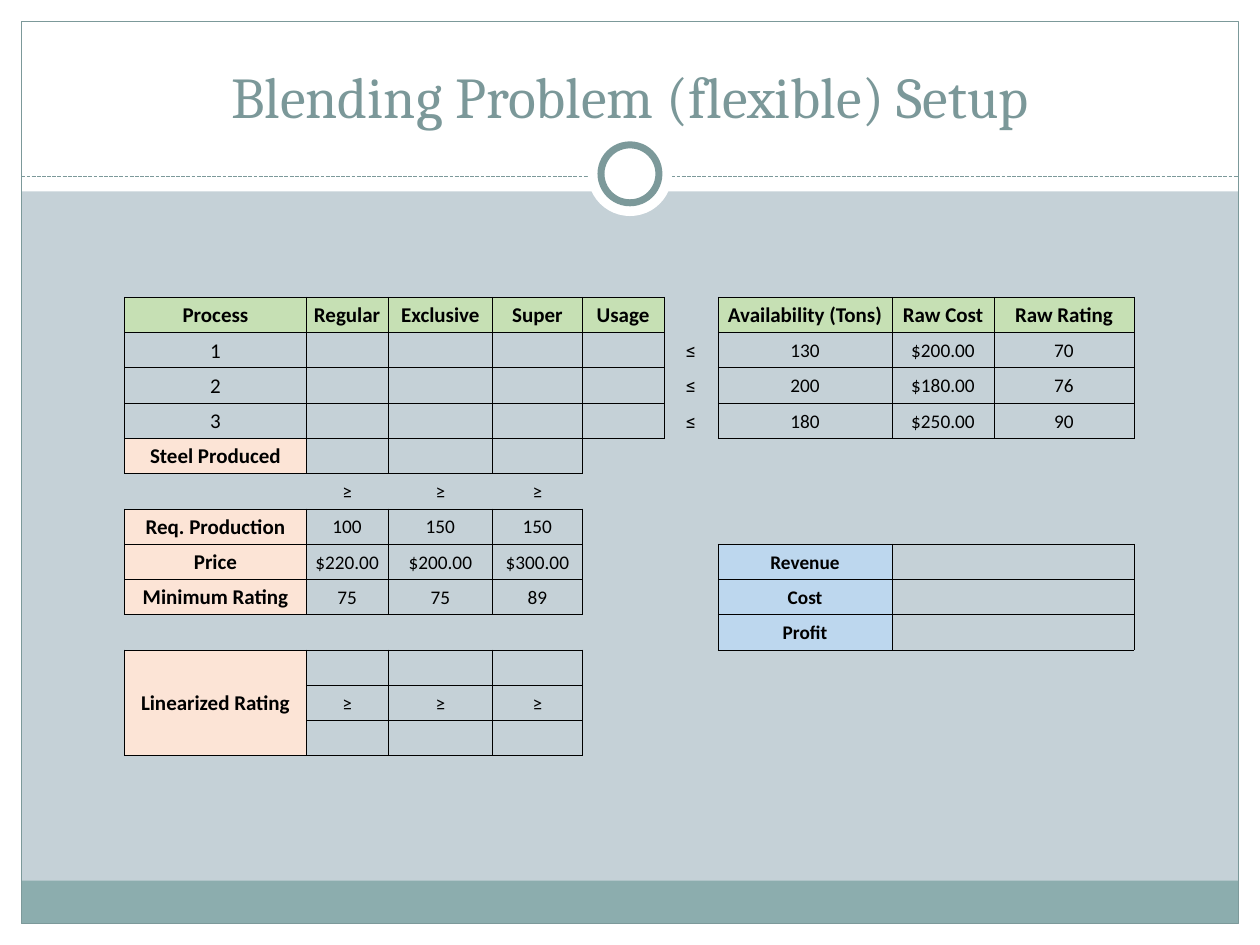
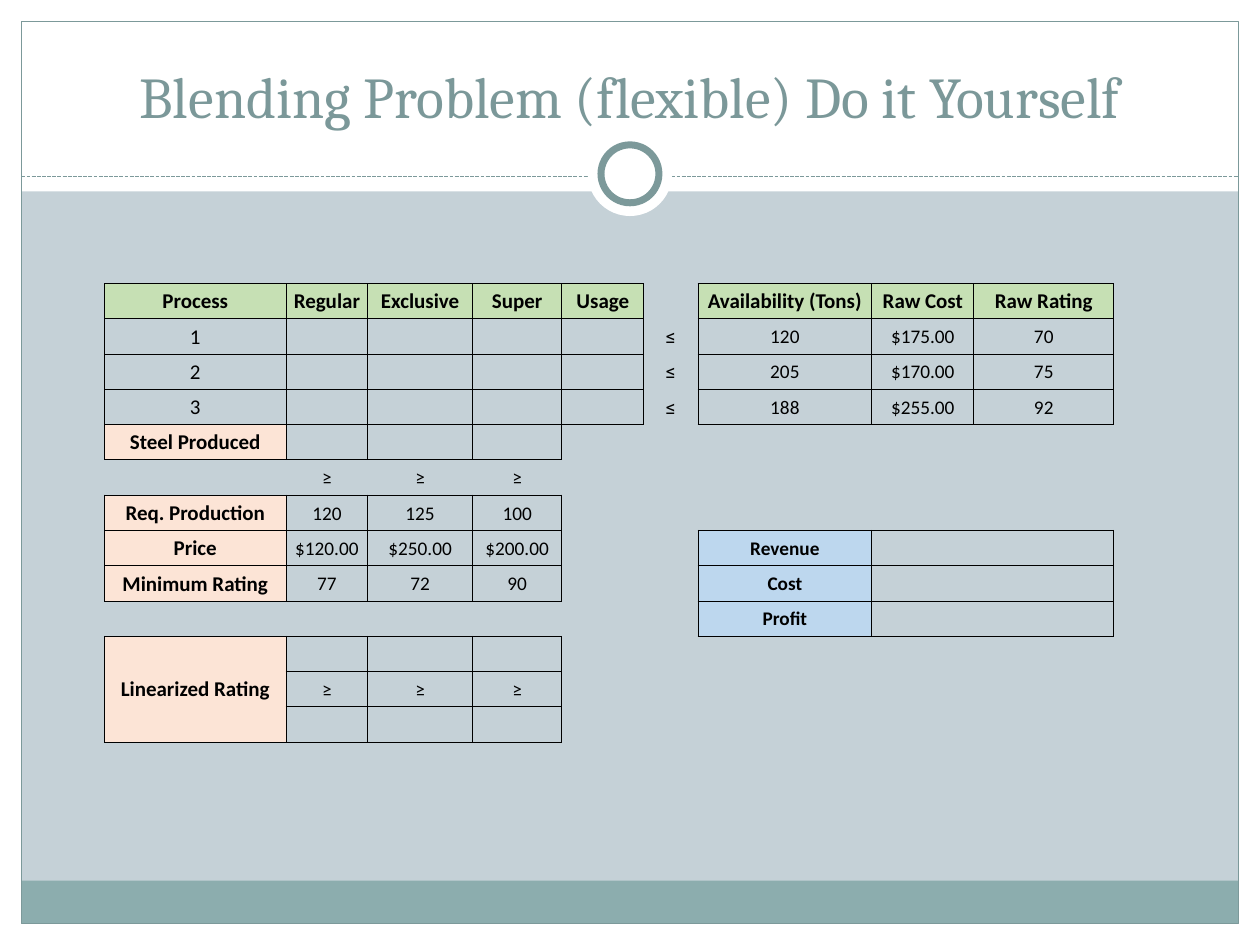
import itertools

import pptx
import pptx.dml.color
import pptx.enum.dml
import pptx.enum.shapes
import pptx.enum.text
import pptx.oxml
import pptx.oxml.ns
import pptx.util

WIDTH, HEIGHT = 10, 7.5
EDGE = 0.17
HEADER_H, RULE_Y, FOOTER_H = 1.52, 1.4, 0.34
RING_Y = 1.38
SAGE, TITLE, TEAL, MIST = "7C999A", "7B9899", "8CADAE", "C5D1D7"
WHITE, BLACK = "FFFFFF", "000000"
GREEN, PEACH, BLUE = "C6E0B4", "FCE4D6", "BDD7EE"

COLUMNS = [1.44, 0.65, 0.83, 0.71, 0.65, 0.43, 1.38, 0.81, 1.11]
ROWS, ROW_H = 13, 0.28
HEADINGS = ["Process", "Regular", "Exclusive", "Super", "Usage", None,
            "Availability (Tons)", "Raw Cost", "Raw Rating"]
DEMAND_LABELS = ["Req. Production", "Price", "Minimum Rating"]
RESULTS = ["Revenue", "Cost", "Profit"]
BOXES = [(0, 0, 3, 4), (0, 6, 3, 8), (4, 0, 4, 3), (6, 0, 8, 3), (7, 6, 9, 8), (10, 0, 12, 3)]
SIDES = {"L": (0, -1), "R": (0, 1), "T": (-1, 0), "B": (1, 0)}

SETUP = {
    "title": "Blending Problem (flexible) Setup",
    "corner": (0.99, 2.36),
    "supply": [["130", "$200.00", "70"], ["200", "$180.00", "76"], ["180", "$250.00", "90"]],
    "demand": [["100", "150", "150"], ["$220.00", "$200.00", "$300.00"], ["75", "75", "89"]],
}
EXERCISE = {
    "title": "Blending Problem (flexible) Do it Yourself",
    "corner": (0.83, 2.25),
    "supply": [["120", "$175.00", "70"], ["205", "$170.00", "75"], ["188", "$255.00", "92"]],
    "demand": [["120", "125", "100"], ["$120.00", "$250.00", "$200.00"], ["77", "72", "90"]],
}


def rgb(value):
    """Turn a hex string into a colour."""
    return pptx.dml.color.RGBColor.from_string(value)


def inches(*values):
    """Turn numbers into lengths in inches."""
    return [pptx.util.Inches(v) for v in values]


def style_text(p, size, font, color, bold=False):
    """Centre a paragraph and format its runs."""
    p.alignment = pptx.enum.text.PP_ALIGN.CENTER
    for r in p.runs:
        r.font.size, r.font.name, r.font.bold = pptx.util.Pt(size), font, bold
        r.font.color.rgb = rgb(color)


def add_block(s, kind, box, fill=None, line=None, weight=0.75):
    """Add a flat preset shape."""
    sp = s.shapes.add_shape(getattr(pptx.enum.shapes.MSO_SHAPE, kind), *inches(*box))
    sp.shadow.inherit = False
    if fill:
        sp.fill.solid()
        sp.fill.fore_color.rgb = rgb(fill)
    else:
        sp.fill.background()
    if line:
        sp.line.color.rgb = rgb(line)
        sp.line.width = pptx.util.Pt(weight)
    else:
        sp.line.fill.background()


def add_rule(s):
    """Add the dashed rule below the title."""
    line = s.shapes.add_connector(pptx.enum.shapes.MSO_CONNECTOR.STRAIGHT,
                                  *inches(EDGE, RULE_Y, WIDTH - EDGE, RULE_Y))
    line.line.color.rgb = rgb(SAGE)
    line.line.width = pptx.util.Pt(0.75)
    line.line.dash_style = pptx.enum.dml.MSO_LINE.SQUARE_DOT
    line._element.spPr.append(pptx.oxml.parse_xml(
        f'<a:effectLst {pptx.oxml.ns.nsdecls("a")}/>'))


def add_circle(s, diameter, **style):
    """Add a white circle centred on the title rule."""
    box = (WIDTH - diameter) / 2, RING_Y - diameter / 2, diameter, diameter
    add_block(s, "OVAL", box, WHITE, **style)


def add_frame(s):
    """Draw the background, bands, border and ring."""
    s.background.fill.solid()
    s.background.fill.fore_color.rgb = rgb(MIST)
    inner_w, inner_h = WIDTH - 2 * EDGE, HEIGHT - 2 * EDGE
    for box in [(0, HEIGHT - EDGE, WIDTH, EDGE), (0, 0, WIDTH, HEADER_H),
                (0, 0, EDGE, HEIGHT), (WIDTH - EDGE, 0, EDGE, HEIGHT)]:
        add_block(s, "RECTANGLE", box, WHITE)
    add_block(s, "RECTANGLE", (EDGE, HEIGHT - EDGE - FOOTER_H, inner_w, FOOTER_H), TEAL)
    add_block(s, "RECTANGLE", (EDGE, EDGE, inner_w, inner_h), line=SAGE)
    add_rule(s)
    add_circle(s, 0.67)
    add_circle(s, 0.46, line=SAGE, weight=4)


def add_title(s, text):
    """Add the slide title."""
    tf = s.shapes.add_textbox(*inches(2 * EDGE, 0.25, WIDTH - 4 * EDGE, 0.83)).text_frame
    tf.word_wrap = True
    tf.vertical_anchor = pptx.enum.text.MSO_ANCHOR.BOTTOM
    tf.text = text
    style_text(tf.paragraphs[0], 33, "Cambria", TITLE)


def model_texts(supply, demand):
    """Map each (row, column) of the model to its text."""
    grid = [[None] * len(COLUMNS) for _ in range(ROWS)]
    grid[0] = HEADINGS
    for i in range(3):
        grid[1 + i][0] = str(i + 1)
        grid[1 + i][5:] = ["≤"] + supply[i]
        grid[6 + i][:4] = [DEMAND_LABELS[i]] + demand[i]
        grid[7 + i][6] = RESULTS[i]
    grid[4][0] = "Steel Produced"
    grid[10][0] = "Linearized Rating"
    for row in (5, 11):
        grid[row][1:4] = ["≥"] * 3
    return grid


def is_boxed(row, col):
    """Tell whether a cell lies in one of the ruled blocks."""
    return any(top <= row <= bottom and left <= col <= right
               for top, left, bottom, right in BOXES)


def cell_fill(row, col, text):
    """Choose the tint of a heading or label cell."""
    if not text:
        return None
    if row == 0:
        return GREEN
    if col == 0 and row > 3:
        return PEACH
    return BLUE if text in RESULTS else None


def set_borders(cell, row, col):
    """Rule each side that touches a ruled block."""
    for i, (side, (down, across)) in enumerate(SIDES.items()):
        ruled = is_boxed(row, col) or is_boxed(row + down, col + across)
        paint = f'<a:solidFill><a:srgbClr val="{BLACK}"/></a:solidFill>' if ruled else "<a:noFill/>"
        cell._tc.get_or_add_tcPr().insert(i, pptx.oxml.parse_xml(
            f'<a:ln{side} {pptx.oxml.ns.nsdecls("a")} w="6350">{paint}</a:ln{side}>'))


def format_cell(cell, row, col, text):
    """Write one cell with its tint, borders and text style."""
    fill = cell_fill(row, col, text)
    if fill:
        cell.fill.solid()
        cell.fill.fore_color.rgb = rgb(fill)
    else:
        cell.fill.background()
    set_borders(cell, row, col)
    cell.margin_left, cell.margin_right, cell.margin_top, cell.margin_bottom = inches(
        0.01, 0.01, 0.01, 0)
    cell.vertical_anchor = pptx.enum.text.MSO_ANCHOR.MIDDLE
    p = cell.text_frame.paragraphs[0]
    if text:
        p.text = text
        style_text(p, 12 if row == 0 or col == 0 else 11,
                   "Roboto" if text == "≤" else "Calibri", BLACK, bool(fill))
    else:
        p._p.get_or_add_endParaRPr().set("sz", "1100")


def add_model(s, corner, supply, demand):
    """Add the blending model as a table."""
    table = s.shapes.add_table(ROWS, len(COLUMNS),
                               *inches(*corner, sum(COLUMNS), ROWS * ROW_H)).table
    table.first_row = table.horz_banding = False
    for column, width in zip(table.columns, COLUMNS):
        column.width = pptx.util.Inches(width)
    for row in table.rows:
        row.height = pptx.util.Inches(ROW_H)
    texts = model_texts(supply, demand)
    for row, col in itertools.product(range(ROWS), range(len(COLUMNS))):
        format_cell(table.cell(row, col), row, col, texts[row][col])
    table.cell(10, 0).merge(table.cell(12, 0))
    for row in range(7, 10):
        table.cell(row, 7).merge(table.cell(row, 8))


def main():
    """Build the deck."""
    prs = pptx.Presentation()
    prs.slide_width, prs.slide_height = inches(WIDTH, HEIGHT)
    for problem in (SETUP, EXERCISE):
        s = prs.slides.add_slide(prs.slide_layouts[6])
        add_frame(s)
        add_title(s, problem["title"])
        add_model(s, problem["corner"], problem["supply"], problem["demand"])
    prs.save("out.pptx")


if __name__ == "__main__":
    main()
